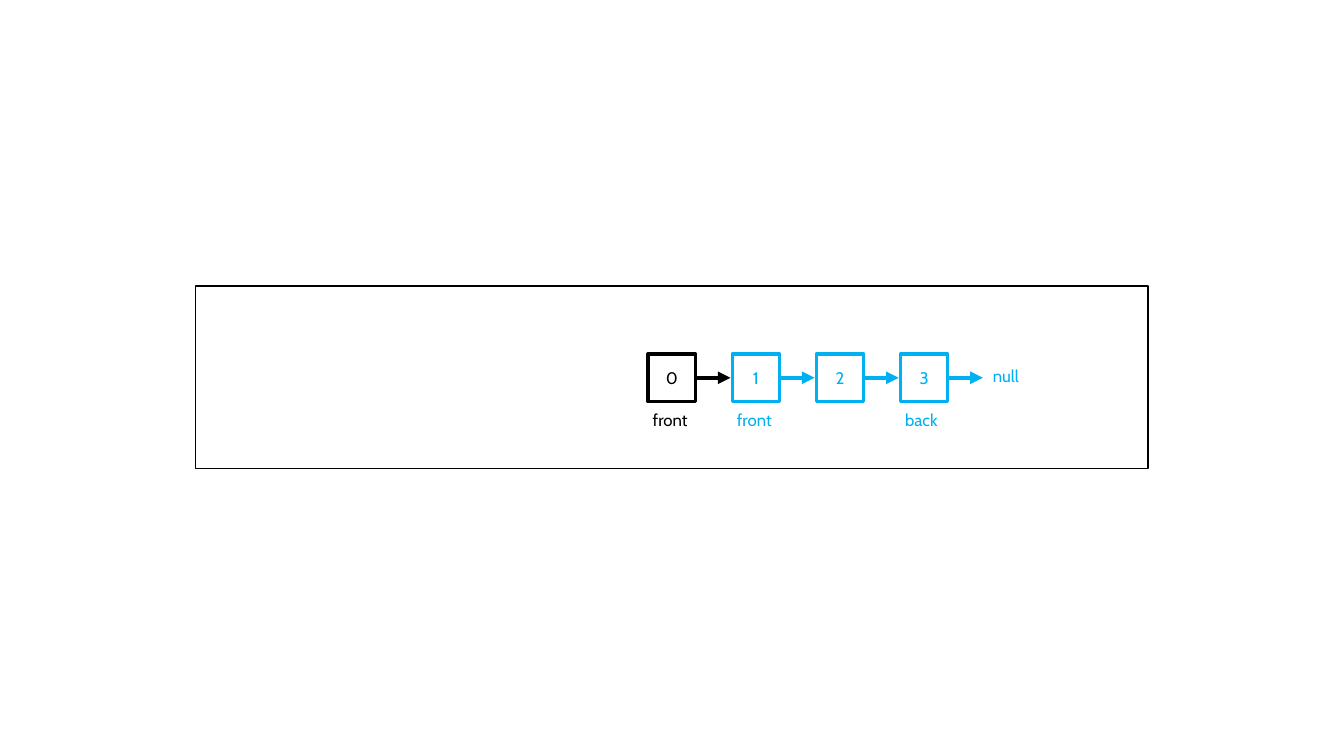
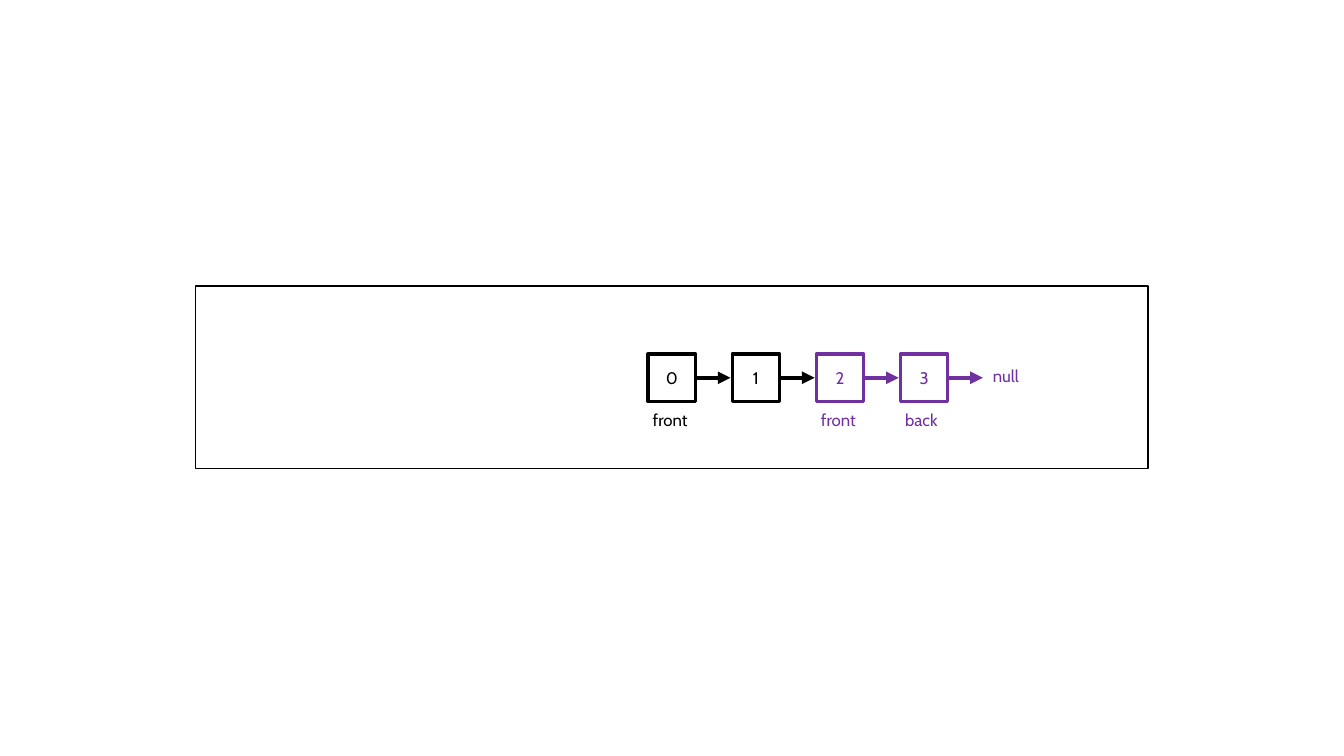
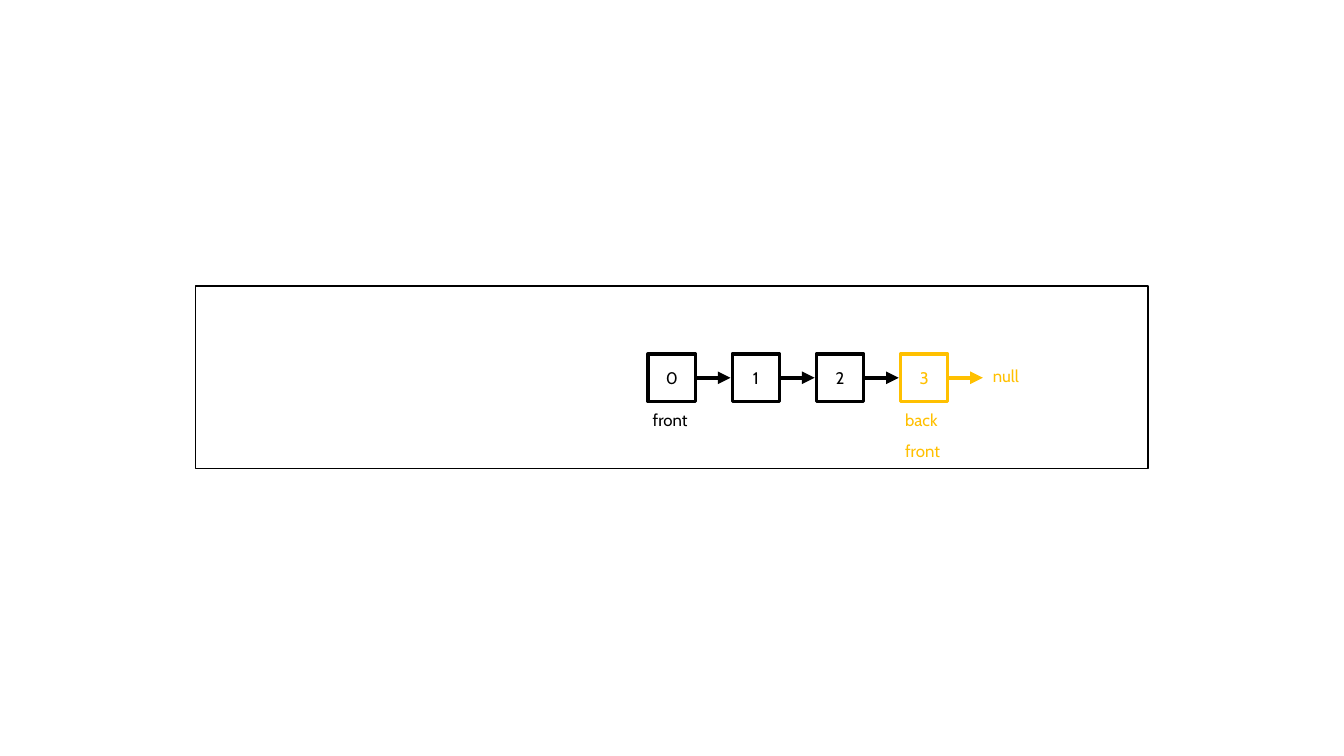
from lxml.etree import SubElement
from pptx import Presentation
from pptx.dml.color import RGBColor
from pptx.enum.shapes import MSO_CONNECTOR, MSO_SHAPE
from pptx.enum.text import MSO_ANCHOR, MSO_AUTO_SIZE, PP_ALIGN
from pptx.oxml.ns import qn
from pptx.util import Cm, Pt

BLACK, WHITE = "000000", "FFFFFF"
BLUE, PURPLE, AMBER = "00B0F0", "7030A0", "FFC000"
FONT = "Cabin"

# Lengths in cm
FRAME = (4.93, 7.21, 24, 4.6)
LIST_OFFSET = (11.4, 1.71)  # first node, from the frame's corner
NODE_COUNT = 4
NODE = 1.2
PITCH = 2.12
ARROW = 0.88
LABEL_HEIGHT = 0.77
LABEL_WIDTHS = {"front": 1.47, "back": 1.42, "null": 1.24}


def color(hex_code):
    return RGBColor.from_string(hex_code)


def set_text(frame, text, ink):
    paragraph = frame.paragraphs[0]
    paragraph.text = text
    paragraph.font.name = FONT
    paragraph.font.size = Pt(12)
    paragraph.font.color.rgb = color(ink)
    return paragraph


def add_box(slide, left, top, width, height, ink, weight):
    box = slide.shapes.add_shape(
        MSO_SHAPE.RECTANGLE, Cm(left), Cm(top), Cm(width), Cm(height))
    box.shadow.inherit = False
    box.fill.solid()
    box.fill.fore_color.rgb = color(WHITE)
    box.line.color.rgb = color(ink)
    box.line.width = Pt(weight)
    return box


def add_label(slide, left, top, text, ink):
    label = slide.shapes.add_textbox(
        Cm(left), Cm(top), Cm(LABEL_WIDTHS[text]), Cm(LABEL_HEIGHT))
    label.text_frame.word_wrap = False
    label.text_frame.auto_size = MSO_AUTO_SIZE.SHAPE_TO_FIT_TEXT
    set_text(label.text_frame, text, ink)


def add_arrow(slide, left, middle, ink):
    arrow = slide.shapes.add_connector(
        MSO_CONNECTOR.STRAIGHT, Cm(left), Cm(middle), Cm(left + ARROW), Cm(middle))
    arrow.line.color.rgb = color(ink)
    arrow.line.width = Pt(3)
    SubElement(arrow.line._get_or_add_ln(), qn("a:tailEnd"), type="triangle")
    SubElement(arrow._element.spPr, qn("a:effectLst"))


def add_node(slide, left, top, value, labels, ink):
    """A value box, its outgoing arrow and the labels stacked below it."""
    node = add_box(slide, left, top, NODE, NODE, ink, 2.25)
    node.text_frame.vertical_anchor = MSO_ANCHOR.MIDDLE
    set_text(node.text_frame, str(value), ink).alignment = PP_ALIGN.CENTER
    add_arrow(slide, left + NODE, top + NODE / 2, ink)
    for row, text in enumerate(labels):
        add_label(slide, left - 0.13, top + 1.29 + row * LABEL_HEIGHT, text, ink)


def add_linked_list(slide, left, top, new_front, accent):
    """Nodes from new_front onwards take the accent colour."""
    for value in range(NODE_COUNT):
        labels = []
        if value == NODE_COUNT - 1:
            labels.append("back")
        if value in (0, new_front):
            labels.append("front")
        ink = accent if value >= new_front else BLACK
        add_node(slide, left + value * PITCH, top, value, labels, ink)
    # End of the list
    add_label(slide, left + NODE_COUNT * PITCH - 0.04, top + 0.17, "null", accent)


def add_queue_slide(deck, new_front, accent):
    slide = deck.slides.add_slide(deck.slide_layouts[6])
    add_box(slide, *FRAME, BLACK, 1)
    add_linked_list(slide, FRAME[0] + LIST_OFFSET[0], FRAME[1] + LIST_OFFSET[1],
                    new_front, accent)


def main():
    deck = Presentation()
    deck.slide_width, deck.slide_height = Cm(33.87), Cm(19.05)
    for new_front, accent in enumerate((BLUE, PURPLE, AMBER), start=1):
        add_queue_slide(deck, new_front, accent)
    deck.save("out.pptx")


if __name__ == "__main__":
    main()
